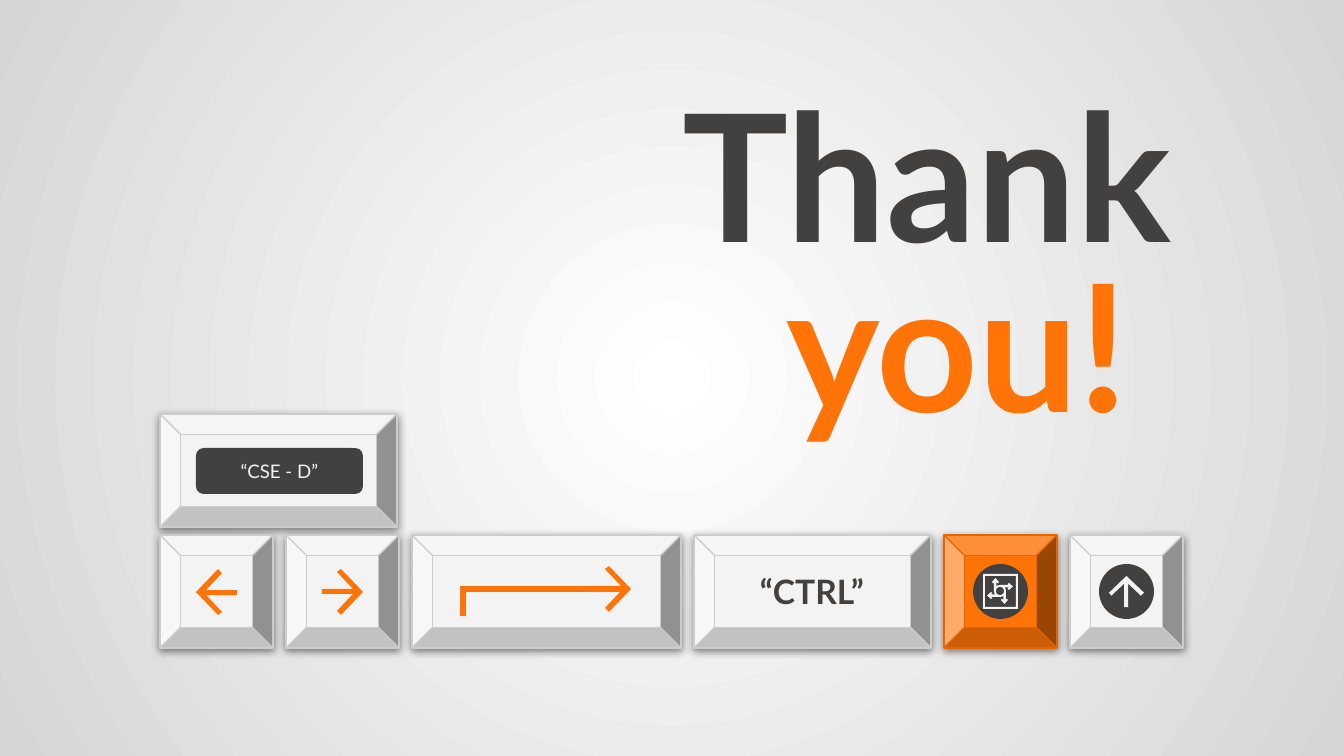
import math

import lxml.etree
import pptx
import pptx.dml.color
import pptx.enum.shapes
import pptx.enum.text
import pptx.oxml
import pptx.oxml.ns
import pptx.util

PX = 914400 / 134.4
FONT = "Lato"
COLORS = {
    "dark": "42413F",
    "orange": "FF7307",
    "orange_edge": "E46503",
    "light": "F3F3F3",
    "edge": "CCCCCC",
    "center": "FFFFFF",
    "rim": "D6D6D6",
    "shadow": "000000",
}
KEY = 113
GAP = 13
SHAPES = pptx.enum.shapes.MSO_SHAPE
ALIGN = pptx.enum.text.PP_ALIGN
ARROW = [(19, 0), (15, 3), (31, 20), (0, 20), (0, 25), (31, 25), (15, 42), (19, 46), (41, 23)]
ICON_QUARTER = [
    (-7, -9), (-7, -18), (-4, -15), (-2, -18), (-9, -26),
    (-16, -18), (-14, -15), (-12, -18), (-12, 0), (-11, 5),
]


def emu(length):
    return pptx.util.Emu(round(length * PX))


def place(box):
    return [emu(length) for length in box]


def inside(box, left, top, width, height):
    return box[0] + left, box[1] + top, width, height


def color(name):
    return pptx.dml.color.RGBColor.from_string(COLORS[name])


def paint(shape, fill, edge=None):
    shape.shadow.inherit = False
    shape.fill.solid()
    shape.fill.fore_color.rgb = color(fill)
    if edge:
        shape.line.color.rgb = color(edge)
        shape.line.width = pptx.util.Pt(0.75)
    else:
        shape.line.fill.background()


def add_preset(page, preset, box, fill, edge=None):
    shape = page.shapes.add_shape(preset, *place(box))
    paint(shape, fill, edge)
    return shape


def add_outline(page, box, grid, contours, fill):
    scale = (box[2] * PX / grid[0], box[3] * PX / grid[1])
    builder = page.shapes.build_freeform(*contours[0][0], scale=scale)
    builder.add_line_segments(contours[0][1:], close=True)
    for contour in contours[1:]:
        builder.move_to(*contour[0])
        builder.add_line_segments(contour[1:], close=True)
    shape = builder.convert_to_shape(emu(box[0]), emu(box[1]))
    paint(shape, fill)
    return shape


def add_arrow(page, box, fill, rotation=0):
    add_outline(page, box, (41, 46), [ARROW], fill).rotation = rotation


def add_line(page, start, end):
    line = page.shapes.add_connector(
        pptx.enum.shapes.MSO_CONNECTOR.STRAIGHT, *place(start + end))
    line.line.color.rgb = color("orange")
    line.line.width = pptx.util.Pt(3)
    properties = line.element.spPr
    lxml.etree.SubElement(properties, pptx.oxml.ns.qn("a:effectLst"))


def write_text(shape, lines, size, bold=False, align=ALIGN.CENTER, spacing=None, bottom=13):
    frame = shape.text_frame
    frame.word_wrap = True
    frame.vertical_anchor = pptx.enum.text.MSO_ANCHOR.MIDDLE
    frame.margin_left = frame.margin_right = frame.margin_top = emu(13)
    frame.margin_bottom = emu(bottom)
    for index, (text, tint) in enumerate(lines):
        para = frame.add_paragraph() if index else frame.paragraphs[0]
        para.alignment = align
        para.line_spacing = spacing
        span = para.add_run()
        span.text = text
        span.font.name = FONT
        span.font.size = pptx.util.Pt(size)
        span.font.bold = bold
        span.font.color.rgb = color(tint)


def add_key(page, box, fill="light", edge="edge"):
    key = add_preset(page, SHAPES.BEVEL, box, fill, edge)
    key.adjustments[0] = 0.18
    effects = key.element.spPr.find(pptx.oxml.ns.qn("a:effectLst"))
    effects.append(pptx.oxml.parse_xml(
        f'<a:outerShdw {pptx.oxml.ns.nsdecls("a")} blurRad="57150" dist="19050" '
        'dir="5400000" algn="bl" rotWithShape="0">'
        f'<a:srgbClr val="{COLORS["shadow"]}"><a:alpha val="50000"/></a:srgbClr>'
        '</a:outerShdw>'))


def add_left_key(page, box):
    add_key(page, box)
    add_arrow(page, inside(box, 36, 34, 41, 46), "orange", 180)


def add_right_key(page, box):
    add_key(page, box)
    add_arrow(page, inside(box, 36, 34, 41, 46), "orange")


def add_tab_key(page, box):
    add_key(page, box)
    add_arrow(page, inside(box, 178, 31, 41, 46), "orange")
    left, top = box[:2]
    add_line(page, (left + 210, top + 54), (left + 49, top + 54))
    add_line(page, (left + 51, top + 51), (left + 51, top + 81))


def add_control_key(page, box):
    add_key(page, box)
    label = page.shapes.add_textbox(*place(inside(box, 30, 31, 176, 51)))
    write_text(label, [("“CTRL”", "dark")], 18, bold=True)


def add_cycle_icon(page, box):
    points = list(ICON_QUARTER)
    ring = []
    for turn in range(4):
        ring += [(x + 26, y + 26) for x, y in points]
        points = [(y, -x) for x, y in points]
    angles = [math.tau * step / 24 for step in range(24)]
    hole = [(26 + 8 * math.cos(angle), 26 + 8 * math.sin(angle)) for angle in angles]
    add_outline(page, box, (52, 52), [ring, hole], "light")


def add_cycle_key(page, box):
    add_key(page, box, "orange", "orange_edge")
    add_preset(page, SHAPES.OVAL, inside(box, 29, 29, 55, 55), "dark")
    outer = [(0, 0), (0, 35), (35, 35), (35, 0)]
    inner = [(2, 2), (33, 2), (33, 33), (2, 33)]
    add_outline(page, inside(box, 39, 39, 35, 35), (35, 35), [outer, inner], "light")
    add_cycle_icon(page, inside(box, 43, 43, 26, 26))


def add_up_key(page, box):
    add_key(page, box)
    add_preset(page, SHAPES.OVAL, inside(box, 29, 29, 55, 55), "dark")
    add_arrow(page, inside(box, 41, 39, 31, 35), "light", 270)


def add_section_key(page, box):
    add_key(page, box)
    label = add_preset(page, SHAPES.ROUNDED_RECTANGLE, inside(box, 36, 34, 167, 46), "dark")
    write_text(label, [("“CSE - D”", "light")], 10)


def add_keyboard(page, box):
    left, top = box[:2]
    add_section_key(page, (left, top, 237, KEY))
    row = [
        (add_left_key, KEY), (add_right_key, KEY), (add_tab_key, 269),
        (add_control_key, 237), (add_cycle_key, KEY), (add_up_key, KEY),
    ]
    for add, width in row:
        add(page, (left, top + box[3] - KEY, width, KEY))
        left += width + GAP


def add_title(page, box):
    title = page.shapes.add_textbox(*place(box))
    write_text(title, [("Thank", "dark"), ("you! ", "orange")], 95, bold=True,
               align=ALIGN.RIGHT, spacing=0.8, bottom=184)


def add_background(page):
    fill = page.background.fill
    fill.gradient()
    for stop, name in zip(fill.gradient_stops, ("center", "rim")):
        stop.color.rgb = color(name)
    gradient = page.element.find(".//" + pptx.oxml.ns.qn("a:gradFill"))
    linear = gradient.find(pptx.oxml.ns.qn("a:lin"))
    gradient.replace(linear, pptx.oxml.parse_xml(
        f'<a:path {pptx.oxml.ns.nsdecls("a")} path="circle">'
        '<a:fillToRect l="50000" t="50000" r="50000" b="50000"/></a:path>'))


def main():
    deck = pptx.Presentation()
    deck.slide_width, deck.slide_height = emu(1344), emu(756)
    page = deck.slides.add_slide(deck.slide_layouts[6])
    add_background(page)
    add_title(page, (-146, 164, 1331, 396))
    add_keyboard(page, (160, 414, 1024, 234))
    deck.save("out.pptx")


if __name__ == "__main__":
    main()
